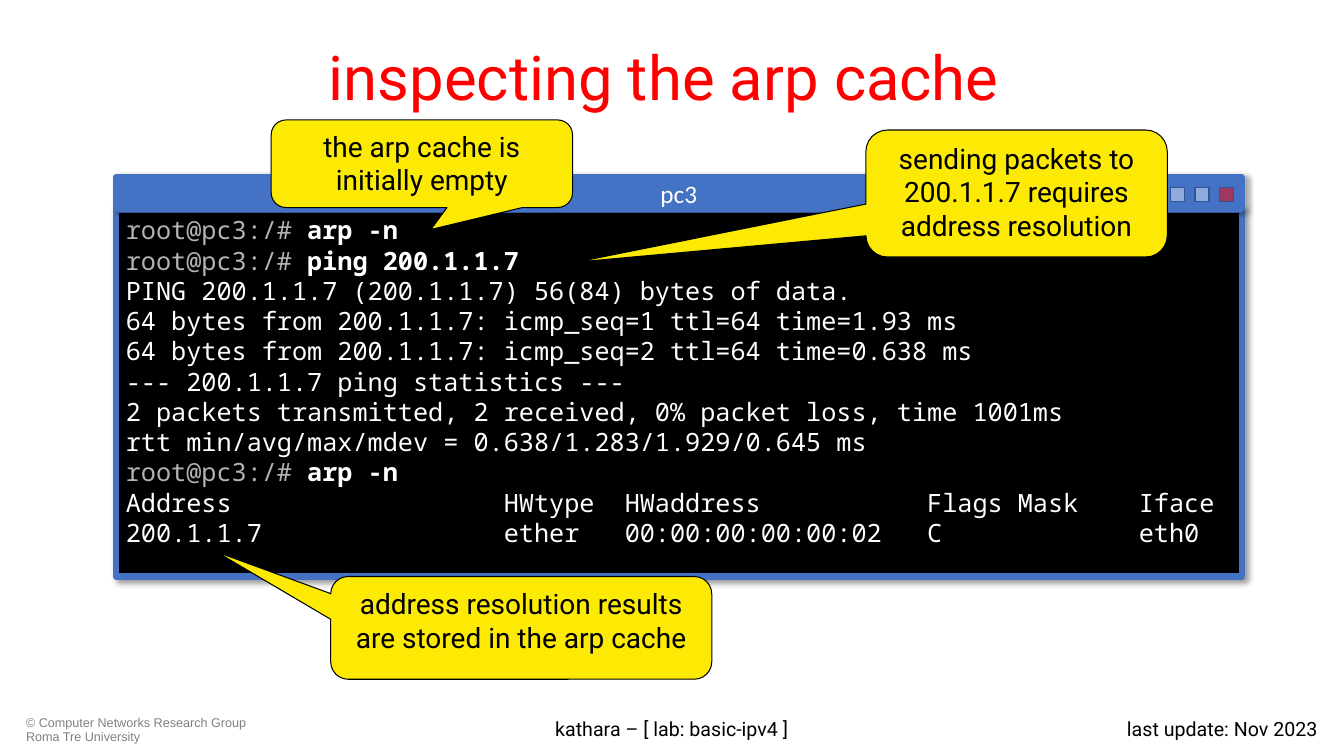
"""Build the slide on inspecting the arp cache in a terminal window."""
from lxml.etree import SubElement
from pptx import Presentation
from pptx.dml.color import RGBColor
from pptx.enum.shapes import MSO_SHAPE as Shape
from pptx.enum.text import MSO_ANCHOR as Anchor, PP_ALIGN as Align
from pptx.oxml.ns import qn
from pptx.util import Pt

BLUE, PALE_BLUE, DARK_BLUE = "4472C4", "8FAADC", "325491"
RED, YELLOW, BLACK, WHITE = "FF0000", "FCEA04", "000000", "FFFFFF"
PROMPT_GRAY, FOOTER_GRAY = "B3B3B3", "808080"


def paint(fill, color):
    fill.solid()
    fill.fore_color.rgb = RGBColor.from_string(color)


def write(box, lines, size, font="Roboto", color=BLACK, align=Align.CENTER,
          anchor=Anchor.TOP, spacing=None, tabs=()):
    frame = box.text_frame
    frame.word_wrap = True
    frame.vertical_anchor = anchor
    for index, line in enumerate(lines):
        para = frame.paragraphs[0] if index == 0 else frame.add_paragraph()
        spans = [(line, color, False)] if isinstance(line, str) else line
        if any("\t" in text for text, _, _ in spans):
            tab_list = SubElement(para._p.get_or_add_pPr(), qn("a:tabLst"))
            for position in tabs:
                SubElement(tab_list, qn("a:tab"), pos=str(Pt(position)), algn="l")
        para.alignment = align
        para.line_spacing = spacing
        for text, shade, bold in spans:
            span = para.add_run()
            span.text = text
            span.font.name = font
            span.font.size = Pt(size)
            span.font.bold = bold
            paint(span.font.fill, shade)


deck = Presentation()
deck.slide_width, deck.slide_height = Pt(960), Pt(540)
page = deck.slides.add_slide(deck.slide_layouts[6])

window_left, window_width = 82.8, 804.2
terminal = page.shapes.add_shape(
    Shape.RECTANGLE, Pt(window_left), Pt(149.8), Pt(window_width), Pt(262.1))
title_bar = page.shapes.add_shape(
    Shape.RECTANGLE, Pt(window_left), Pt(126.7), Pt(window_width), Pt(22.3))

for panel, fill, alpha, distance, angle in [
        (terminal, BLACK, 40, 3, 45), (title_bar, BLUE, 32, 2, 0)]:
    paint(panel.fill, fill)
    paint(panel.line.fill, BLUE)
    panel.line.width = Pt(4.5)
    panel.shadow.inherit = False
    effects = panel._element.spPr.find(qn("a:effectLst"))
    shadow = SubElement(effects, qn("a:outerShdw"), blurRad=str(Pt(4)),
                        dist=str(Pt(distance)), dir=str(angle * 60000),
                        algn="tl", rotWithShape="0")
    shadow_color = SubElement(shadow, qn("a:srgbClr"), val=BLACK)
    SubElement(shadow_color, qn("a:alpha"), val=str(alpha * 1000))

prompt = ("root@pc3:/# ", PROMPT_GRAY, False)
show_cache = [prompt, ("arp -n", WHITE, True)]
session = [
    show_cache,
    [prompt, ("ping 200.1.1.7", WHITE, True)],
    "PING 200.1.1.7 (200.1.1.7) 56(84) bytes of data.",
    "64 bytes from 200.1.1.7: icmp_seq=1 ttl=64 time=1.93 ms",
    "64 bytes from 200.1.1.7: icmp_seq=2 ttl=64 time=0.638 ms",
    "--- 200.1.1.7 ping statistics ---",
    "2 packets transmitted, 2 received, 0% packet loss, time 1001ms",
    "rtt min/avg/max/mdev = 0.638/1.283/1.929/0.645 ms",
    show_cache,
    "Address\tHWtype\tHWaddress\tFlags Mask\tIface",
    "200.1.1.7\tether\t00:00:00:00:00:02\tC\teth0",
]
character_width = 10.8
write(terminal, session, 18, font="Noto Sans Mono", color=WHITE, align=Align.LEFT,
      spacing=Pt(21.6), tabs=[column * character_width for column in (25, 33, 53, 67)])
write(title_bar, ["pc3"], 18, font="Calibri", color=WHITE, anchor=Anchor.MIDDLE)

for index, fill in enumerate([PALE_BLUE, PALE_BLUE, RED]):
    button = page.shapes.add_shape(
        Shape.RECTANGLE, Pt(835.9 + index * 17.6), Pt(133.9), Pt(10.1), Pt(10.1))
    button.shadow.inherit = False
    paint(button.fill, fill)
    paint(button.line.fill, DARK_BLUE)
    button.line.width = Pt(1)
    if fill == RED:
        button_color = button.fill._xPr.find(qn("a:solidFill"))[0]
        SubElement(button_color, qn("a:alpha"), val="50000")

for text, left, top, width, height, style in [
        ("inspecting the arp cache ", 48, 9.4, 864, 90,
         dict(size=44, color=RED, anchor=Anchor.MIDDLE)),
        ("© Computer Networks Research Group Roma Tre University", 11.5, 508.3, 179.3, 25.9,
         dict(size=9, font="Arial", color=FOOTER_GRAY, align=Align.LEFT, spacing=0.9)),
        ("kathara – [ lab: basic-ipv4 ]", 245.5, 508.3, 468.7, 25.9, dict(size=14)),
        ("last update: Nov 2023", 729.4, 508.3, 218.9, 25.9,
         dict(size=14, align=Align.RIGHT))]:
    box = page.shapes.add_textbox(Pt(left), Pt(top), Pt(width), Pt(height))
    write(box, [text], **style)

for text, left, top, width, height, tip_x, tip_y in [
        ("the arp cache is initially empty", 193.7, 85.7, 215.3, 62.6, 0.03, 0.75),
        ("sending packets to 200.1.1.7 requires address resolution",
         618.5, 92.9, 215.3, 90.7, -1.46, 0.54),
        ("address resolution results are stored in the arp cache",
         236.2, 411.8, 272.2, 73.4, -0.8, -0.74)]:
    callout = page.shapes.add_shape(
        Shape.ROUNDED_RECTANGULAR_CALLOUT, Pt(left), Pt(top), Pt(width), Pt(height))
    callout.adjustments[0] = tip_x
    callout.adjustments[1] = tip_y
    callout.adjustments[2] = 0.17
    callout.shadow.inherit = False
    paint(callout.fill, YELLOW)
    paint(callout.line.fill, BLACK)
    callout.line.width = Pt(0.75)
    write(callout, [text], 20)

deck.save("out.pptx")
